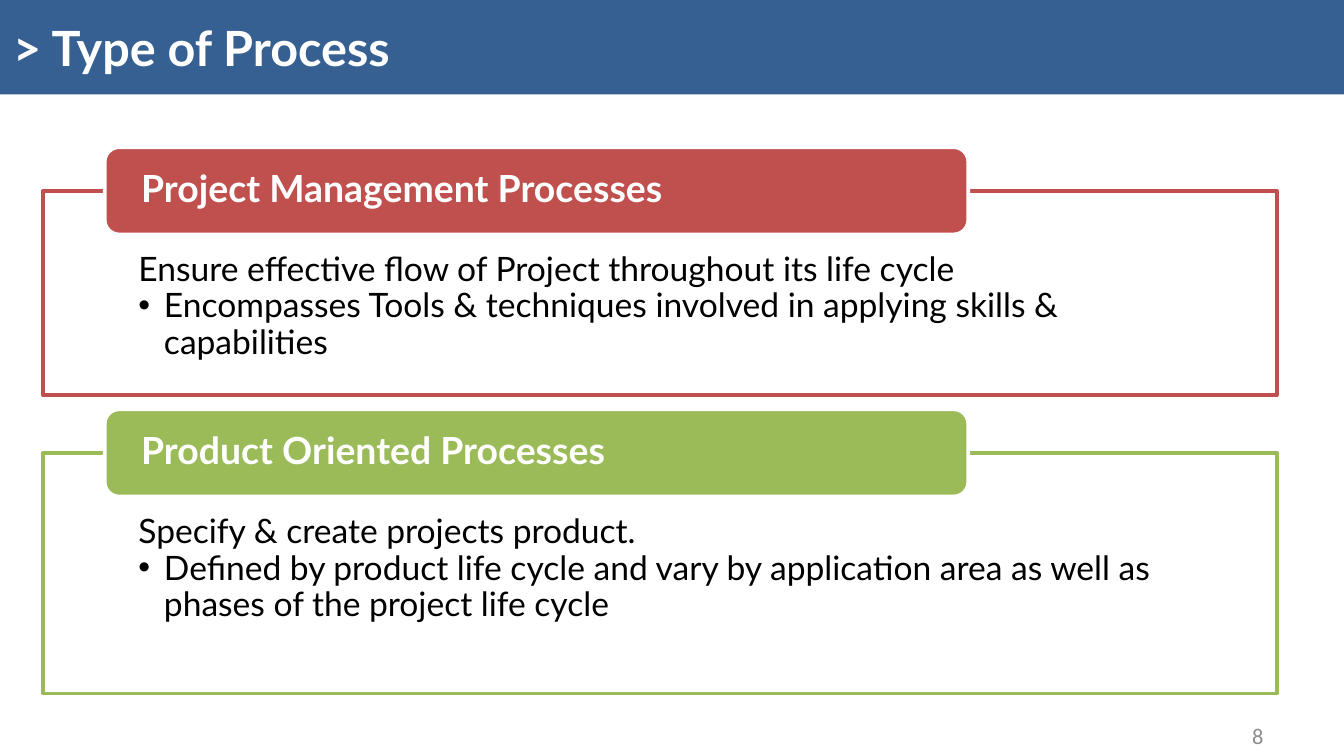
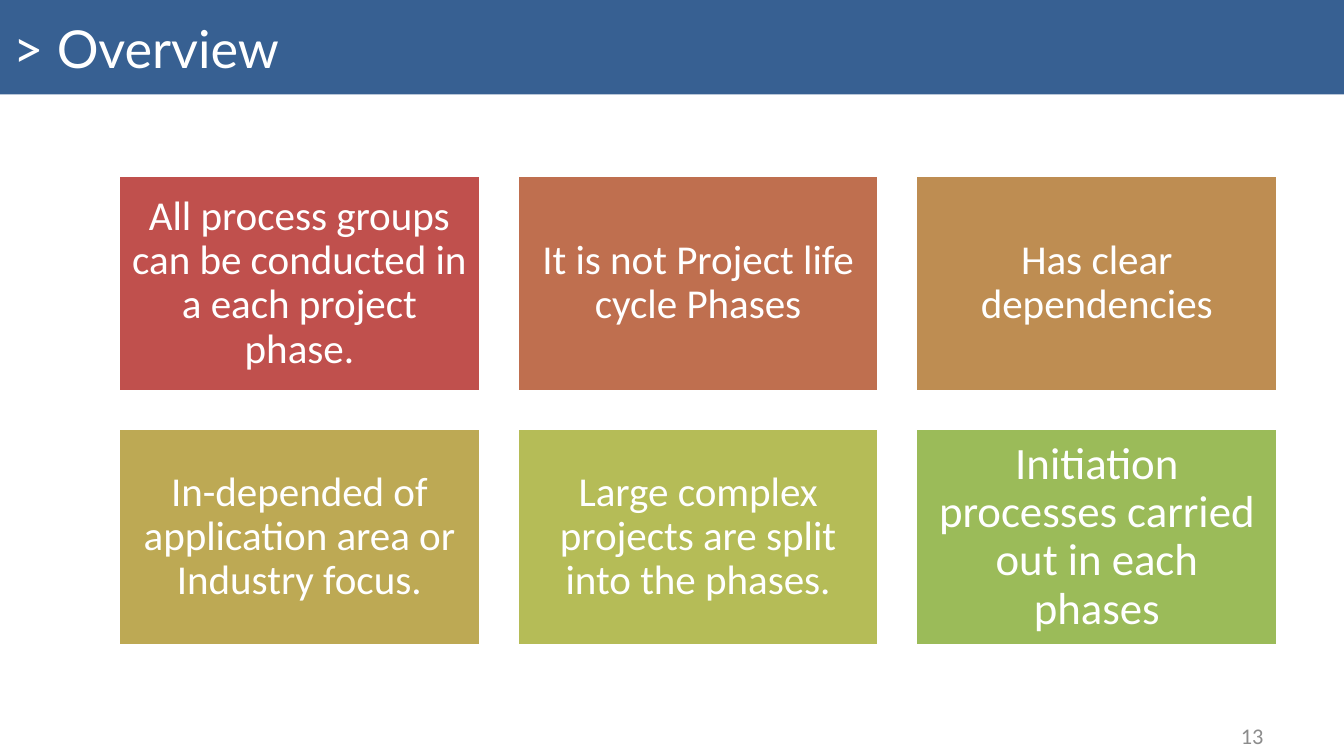
from collections import namedtuple

from lxml.etree import SubElement
from pptx import Presentation
from pptx.dml.color import RGBColor
from pptx.enum.shapes import MSO_SHAPE as Shape
from pptx.enum.text import MSO_ANCHOR as Anchor, PP_ALIGN as Align
from pptx.oxml.ns import qn
from pptx.util import Inches, Pt

WIDTH, HEIGHT = 10, 10 * 9 / 16
WHITE, BLACK, GREY = "FFFFFF", "000000", "8C8C8C"
BLUE, RED, GREEN = "376092", "C0504D", "9BBB59"
HEADING_FONT, BODY_FONT = "Lato", "Calibri"
LINE_WIDTH = 2
LINE_SPACING = 0.9
BULLET_INDENT = 0.19

Box = namedtuple("Box", "left top width height")

TITLE_BAND = Box(0, 0, WIDTH, HEIGHT / 8)
PAGE_NUMBER = Box(7.17, 5.32, 2.33, 0.3)

PROCESS_TYPES = [
    (Box(0.32, 1.42, 9.18, 1.52), RED, "Project Management Processes",
     "Ensure effective flow of Project throughout its life cycle",
     "Encompasses Tools & techniques involved in applying skills & capabilities"),
    (Box(0.32, 3.37, 9.18, 1.79), GREEN, "Product Oriented Processes",
     "Specify & create projects product.",
     "Defined by product life cycle and vary by application area "
     "as well as phases of the project life cycle"),
]

OVERVIEW_GRID = Box(0.88, 1.3, 8.63, 3.51)
OVERVIEW_COLUMNS = 3
OVERVIEW_TILES = [
    ("All process groups can be conducted in a each project phase.", RED, 22),
    ("It is not Project life cycle Phases", "BF6F4F", 22),
    ("Has clear dependencies", "BE8D52", 22),
    ("In-depended of application area or Industry focus.", "BDA954", 22),
    ("Large complex projects are split into the phases.", "B5BC57", 22),
    ("Initiation processes carried out in each phases", GREEN, 24),
]


def color(hex_value):
    return RGBColor.from_string(hex_value)


def inches(box):
    return [Inches(length) for length in box]


def add_block(slide, kind, box, fill, line=None):
    block = slide.shapes.add_shape(kind, *inches(box))
    block.shadow.inherit = False
    block.fill.solid()
    block.fill.fore_color.rgb = color(fill)
    if line:
        block.line.color.rgb = color(line)
        block.line.width = Pt(LINE_WIDTH)
    else:
        block.line.fill.background()
    return block


def write(shape, text, size, font, ink, bold=False, align=Align.LEFT,
          anchor=Anchor.MIDDLE, insets=(0.1, 0.05, 0.1, 0.05), spacing=None):
    """Fill a shape with text; insets run left, top, right, bottom."""
    frame = shape.text_frame
    frame.word_wrap = True
    frame.vertical_anchor = anchor
    (frame.margin_left, frame.margin_top,
     frame.margin_right, frame.margin_bottom) = inches(insets)
    frame.text = text
    for paragraph in frame.paragraphs:
        paragraph.alignment = align
        paragraph.line_spacing = spacing
        for run in paragraph.runs:
            run.font.size = Pt(size)
            run.font.name = font
            run.font.bold = bold
            run.font.color.rgb = color(ink)


def add_bullet(paragraph):
    properties = paragraph._p.get_or_add_pPr()
    properties.set("marL", str(Inches(BULLET_INDENT)))
    properties.set("indent", str(-Inches(BULLET_INDENT)))
    SubElement(properties, qn("a:buFont")).set("typeface", "Arial")
    SubElement(properties, qn("a:buChar")).set("char", "•")


def set_opacity(shape, percent):
    fill = shape.fill._xPr.find(qn("a:solidFill"))
    SubElement(fill[0], qn("a:alpha")).set("val", str(percent * 1000))


def add_page(deck, title, number, title_size, bold=False):
    slide = deck.slides.add_slide(deck.slide_layouts[6])
    band = add_block(slide, Shape.RECTANGLE, TITLE_BAND, BLUE)
    write(band, f"> {title}", title_size, HEADING_FONT, WHITE, bold)
    footer = slide.shapes.add_textbox(*inches(PAGE_NUMBER))
    write(footer, str(number), 12, BODY_FONT, GREY, align=Align.RIGHT)
    return slide


def add_process_panel(slide, box, accent, heading, summary, detail):
    panel = add_block(slide, Shape.RECTANGLE, box, WHITE, accent)
    set_opacity(panel, 90)
    write(panel, f"{summary}\n{detail}", 18, HEADING_FONT, BLACK,
          anchor=Anchor.TOP, insets=(0.71, 0.46, 0.71, 0.14),
          spacing=LINE_SPACING)
    add_bullet(panel.text_frame.paragraphs[1])

    tab_height = 0.65
    tab_box = Box(box.left + box.width * 0.05, box.top - tab_height / 2,
                  box.width * 0.7, tab_height)
    tab = add_block(slide, Shape.ROUNDED_RECTANGLE, tab_box, accent, WHITE)
    write(tab, heading, 20, HEADING_FONT, WHITE, bold=True,
          insets=(0.24, 0, 0.24, 0), spacing=LINE_SPACING)


def add_tile_grid(slide, box, tiles, columns):
    """Lay tiles out with gaps of a tenth of a tile's width."""
    tile_width = box.width / (columns + (columns - 1) * 0.1)
    tile_height = tile_width * 0.6
    gap = tile_width * 0.1
    for index, (text, fill, size) in enumerate(tiles):
        row, column = divmod(index, columns)
        tile_box = Box(box.left + column * (tile_width + gap),
                       box.top + row * (tile_height + gap),
                       tile_width, tile_height)
        tile = add_block(slide, Shape.RECTANGLE, tile_box, fill, WHITE)
        write(tile, text, size, BODY_FONT, WHITE, align=Align.CENTER,
              insets=(0.09,) * 4, spacing=LINE_SPACING)


def main():
    deck = Presentation()
    deck.slide_width, deck.slide_height = Inches(WIDTH), Inches(HEIGHT)

    process_types = add_page(deck, "Type of Process", 8, 26, bold=True)
    for panel in PROCESS_TYPES:
        add_process_panel(process_types, *panel)

    overview = add_page(deck, "Overview", 13, 28)
    add_tile_grid(overview, OVERVIEW_GRID, OVERVIEW_TILES, OVERVIEW_COLUMNS)

    deck.save("out.pptx")


if __name__ == "__main__":
    main()
